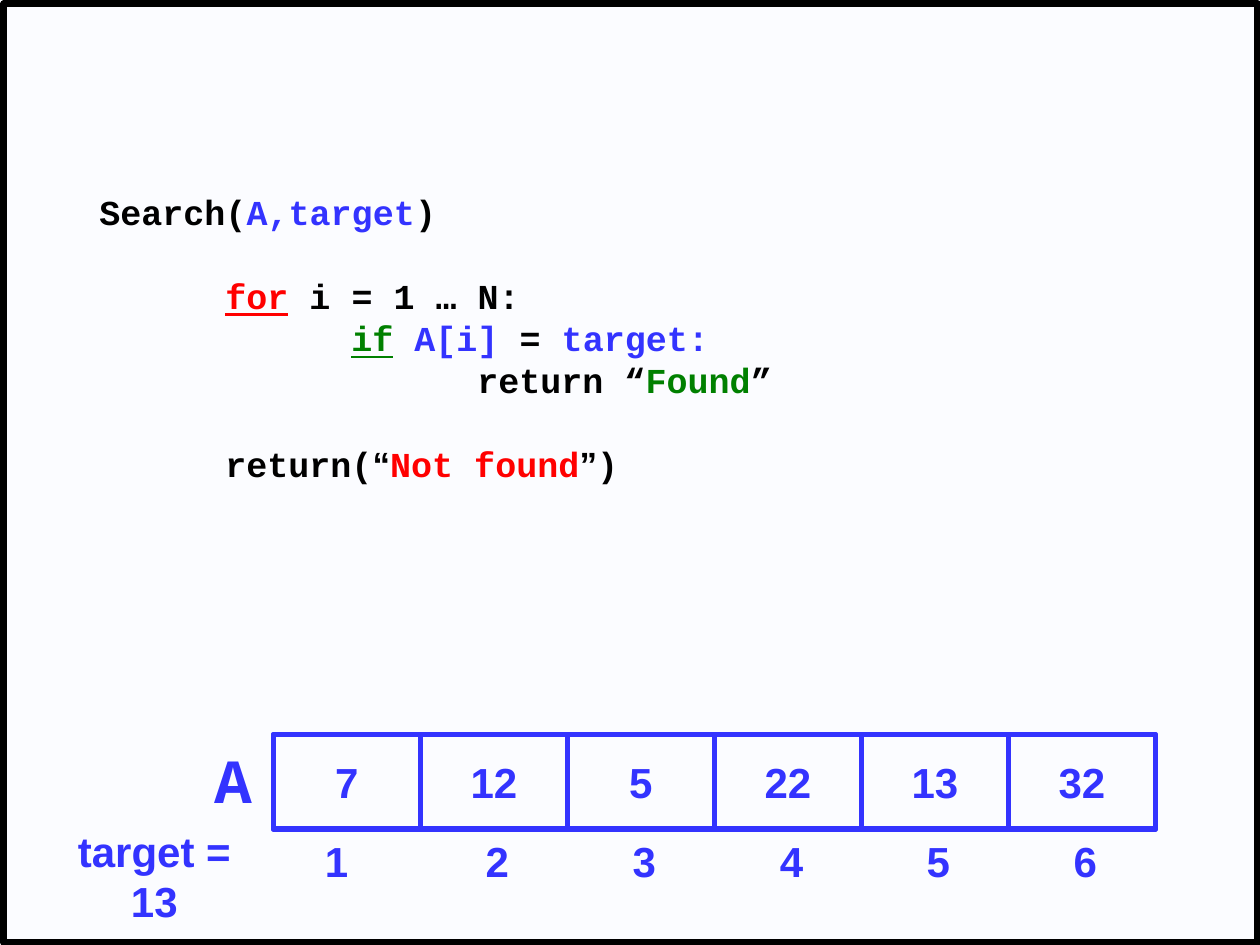
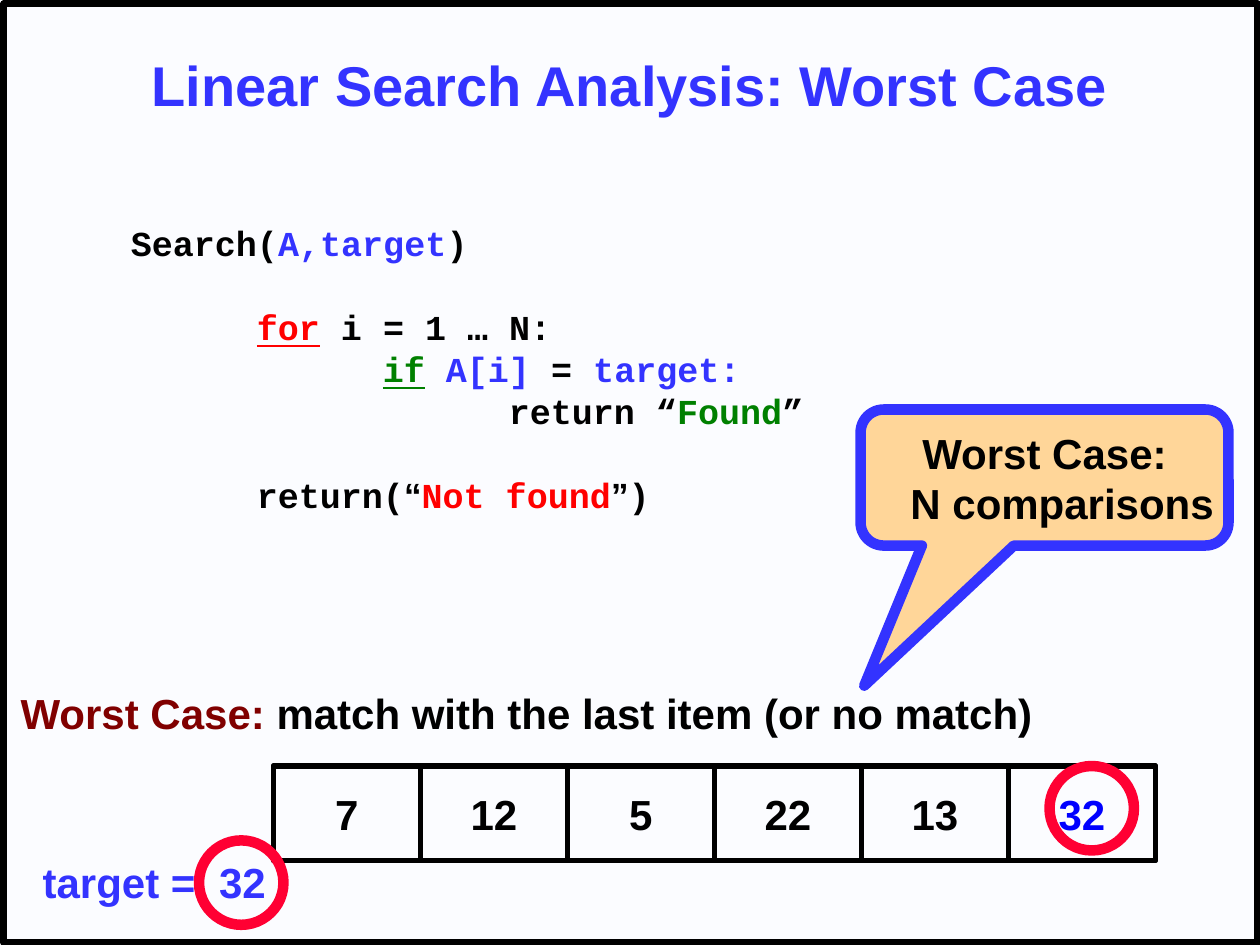
from dataclasses import dataclass

import pptx
import pptx.dml.color
import pptx.enum.shapes
import pptx.enum.text
import pptx.oxml.xmlchemy
import pptx.util
from lxml import etree
from pptx.oxml.ns import qn

Inches = pptx.util.Inches
Pt = pptx.util.Pt
Shape = pptx.enum.shapes.MSO_SHAPE
Align = pptx.enum.text.PP_ALIGN
Anchor = pptx.enum.text.MSO_ANCHOR


@dataclass(frozen=True)
class Theme:
    background: str = "FBFCFF"
    black: str = "000000"
    blue: str = "3333FF"
    match_blue: str = "0000FF"
    red: str = "FF0000"
    ring_red: str = "FF0033"
    green: str = "008000"
    maroon: str = "800000"
    callout: str = "FFD699"
    sans: str = "Arial"
    mono: str = "Courier New"
    title_size: int = 32
    name_size: int = 36
    body_size: int = 24
    code_size: int = 20
    code_line: int = 24


THEME = Theme()
VALUES = (7, 12, 5, 22, 13, 32)
ARRAY_LEFT, ARRAY_WIDTH, ARRAY_HEIGHT = 2.17, 7, 0.75
CELL_WIDTH = ARRAY_WIDTH / len(VALUES)

PLAIN = (THEME.black, THEME.mono, False)
BLUE = (THEME.blue, THEME.mono, False)
RED = (THEME.red, THEME.mono, False)
GREEN = (THEME.green, THEME.mono, False)
LOOP = (THEME.red, THEME.mono, True)
TEST = (THEME.green, THEME.mono, True)
QUOTE = (THEME.black, THEME.sans, False)

CODE = (
    (0, 0, [("Search(", PLAIN), ("A,target", BLUE), (")", PLAIN)]),
    (1, 1, [("for", LOOP), (" i = 1 … N:", PLAIN)]),
    (2, 0, [("if", TEST), (" A[i]", BLUE), (" = ", PLAIN), ("target:", BLUE)]),
    (3, 0, [("return “", PLAIN), ("Found", GREEN), ("”", PLAIN)]),
    (1, 1, [("return(", PLAIN), ("“", QUOTE), ("Not found", RED),
            ("”", QUOTE), (")", PLAIN)]),
)


def rgb(color):
    return pptx.dml.color.RGBColor.from_string(color)


def style_font(font, color, size=THEME.body_size, name=THEME.sans):
    font.name = name
    font.size = Pt(size)
    font.bold = True
    font.color.rgb = rgb(color)


def set_indent(para, inches):
    properties = para._p.get_or_add_pPr()
    properties.set("marL", str(Inches(inches)))
    properties.set("indent", "0")


def set_tab(para, inches):
    properties = para._p.get_or_add_pPr()
    stops = etree.SubElement(properties, qn("a:tabLst"))
    etree.SubElement(stops, qn("a:tab"), pos=str(Inches(inches)), algn="l")


def write_line(para, text, color, size=THEME.body_size, name=THEME.sans,
               align=Align.CENTER):
    para.text = text
    para.alignment = align
    style_font(para.font, color, size, name)


def add_outline(page, kind, left, top, width, height, color, weight, fill=None):
    shape = page.shapes.add_shape(
        kind, Inches(left), Inches(top), Inches(width), Inches(height))
    shape.shadow.inherit = False
    if fill:
        shape.fill.solid()
        shape.fill.fore_color.rgb = rgb(fill)
    else:
        shape.fill.background()
    shape.line.color.rgb = rgb(color)
    shape.line.width = Pt(weight)
    shape.text_frame.word_wrap = False
    shape.text_frame.vertical_anchor = Anchor.MIDDLE
    return shape


def add_box(page, left, top, width, height, wrap=False):
    box = page.shapes.add_textbox(
        Inches(left), Inches(top), Inches(width), Inches(height))
    box.text_frame.word_wrap = wrap
    return box.text_frame


def add_label(page, text, left, top, width, height=0.5, **style):
    para = add_box(page, left, top, width, height).paragraphs[0]
    write_line(para, text, THEME.blue, **style)
    return para


def add_array(page, top, color, last_color):
    add_outline(page, Shape.RECTANGLE, ARRAY_LEFT, top, ARRAY_WIDTH,
                ARRAY_HEIGHT, color, 3)
    for index, value in enumerate(VALUES):
        cell = add_outline(page, Shape.RECTANGLE, ARRAY_LEFT + index * CELL_WIDTH,
                           top, CELL_WIDTH, ARRAY_HEIGHT, color, 3)
        is_last = index == len(VALUES) - 1
        write_line(cell.text_frame.paragraphs[0], str(value),
                   last_color if is_last else color)


def add_indices(page, top):
    for index in range(len(VALUES)):
        offset = 0.42 if index else 0.31
        add_label(page, str(index + 1), ARRAY_LEFT + index * CELL_WIDTH + offset,
                  top, 0.38)


def add_code(page, left, top):
    frame = add_box(page, left, top, 5.54, 2.77, wrap=True)
    frame.margin_top = Inches(0.09)
    for number, (level, gap_lines, spans) in enumerate(CODE):
        para = frame.add_paragraph() if number else frame.paragraphs[0]
        set_indent(para, level)
        para.line_spacing = Pt(THEME.code_line)
        para.space_before = Pt(gap_lines * THEME.code_line)
        for text, (color, name, underline) in spans:
            span = para.add_run()
            span.text = text
            style_font(span.font, color, THEME.code_size, name)
            span.font.underline = underline


def add_ring(page, left, top):
    add_outline(page, Shape.OVAL, left, top, 0.67, 0.67, THEME.ring_red, 6)


def add_callout(page):
    callout = add_outline(page, Shape.ROUNDED_RECTANGULAR_CALLOUT, 6.83, 3.25,
                          2.92, 1.08, THEME.blue, 6, THEME.callout)
    for index, value in enumerate((-0.49, 1.53, 0.17)):
        callout.adjustments[index] = value
    frame = callout.text_frame
    write_line(frame.paragraphs[0], "Worst Case:", THEME.black)
    count = frame.add_paragraph()
    write_line(count, "N comparisons", THEME.black)
    set_indent(count, 0.28)


def add_case_note(page):
    para = add_box(page, 0.06, 5.41, 8.24, 0.5).paragraphs[0]
    para.alignment = Align.CENTER
    for text, color in (("Worst Case: ", THEME.maroon),
                        ("match with the last item (or no match)", THEME.black)):
        span = para.add_run()
        span.text = text
        style_font(span.font, color)


def set_title(page, text):
    title = page.shapes.title
    title.left, title.top = Inches(0.75), Inches(0.17)
    title.width, title.height = Inches(8.5), Inches(1)
    title.text_frame.vertical_anchor = Anchor.MIDDLE
    write_line(title.text_frame.paragraphs[0], text, THEME.blue, THEME.title_size)


def dress_master(deck, page):
    master = deck.slide_master
    master.background.fill.solid()
    master.background.fill.fore_color.rgb = rgb(THEME.background)
    border = add_outline(page, Shape.RECTANGLE, 0.03, 0.03, 9.95, 7.45,
                         THEME.black, 3.75)
    master.shapes._spTree.insert(2, border._element)


def build_search_page(page):
    add_label(page, "A", 1.6, 5.83, 0.5, 0.7, size=THEME.name_size,
              name=THEME.mono)
    add_array(page, 5.83, THEME.blue, THEME.blue)
    add_indices(page, 6.58)
    add_label(page, "target = 13", 0.29, 6.5, 1.87)
    add_code(page, 0.69, 1.42)


def build_worst_case_page(page):
    set_title(page, "Linear Search Analysis: Worst Case")
    add_case_note(page)
    add_array(page, 6.08, THEME.black, THEME.match_blue)
    target = add_box(page, 0.24, 6.75, 1.97, 0.5, wrap=True).paragraphs[0]
    write_line(target, "target =\t32", THEME.blue, align=Align.LEFT)
    target._p.get_or_add_pPr()
    target_stop = 1.4
    properties = target._p.pPr
    defaults = properties.find(qn("a:defRPr"))
    set_tab(target, target_stop)
    if defaults is not None:
        properties.append(defaults)
    add_ring(page, 1.58, 6.67)
    add_ring(page, 8.33, 6.08)
    add_callout(page)
    add_code(page, 0.94, 1.67)


def main():
    deck = pptx.Presentation()
    deck.slide_width, deck.slide_height = Inches(10), Inches(7.5)
    title_only, blank = deck.slide_layouts[5], deck.slide_layouts[6]
    search_page = deck.slides.add_slide(blank)
    dress_master(deck, search_page)
    build_search_page(search_page)
    build_worst_case_page(deck.slides.add_slide(title_only))
    deck.save("out.pptx")


if __name__ == "__main__":
    main()
